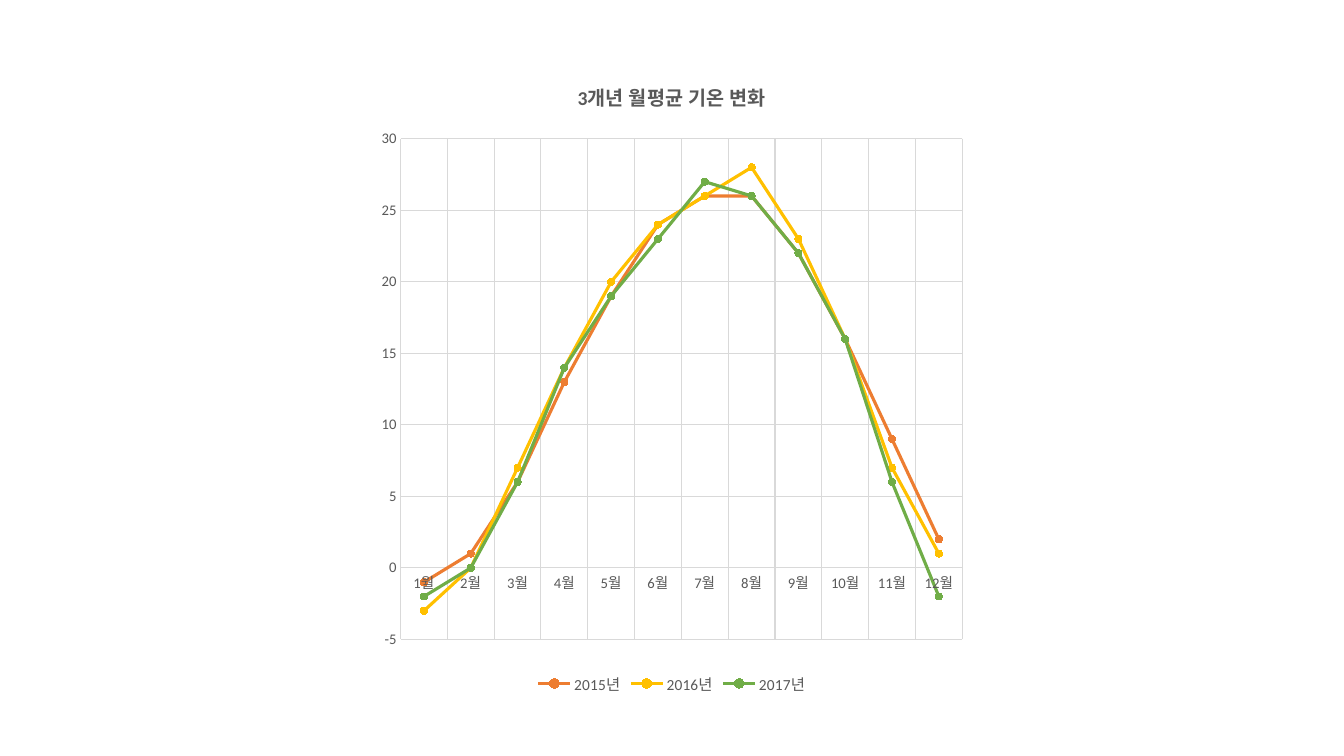
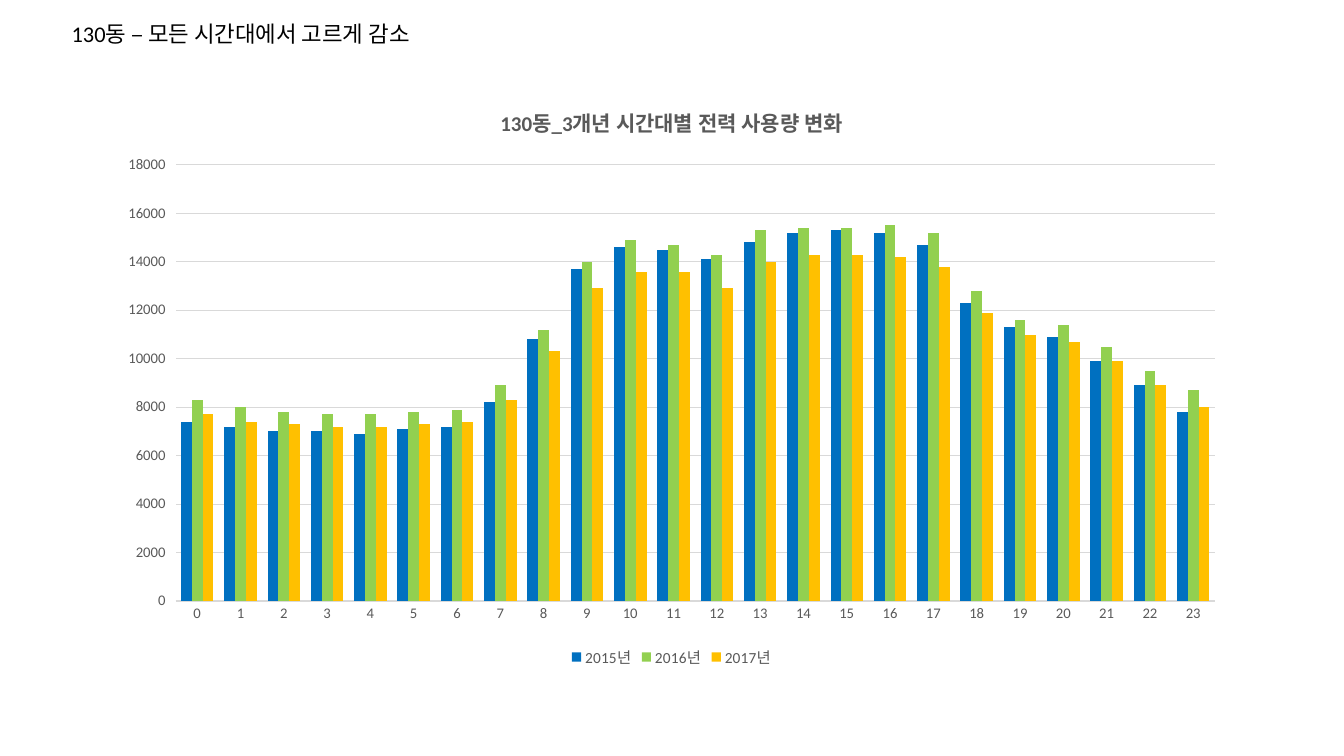
from dataclasses import dataclass
from typing import Optional

from pptx import Presentation
from pptx.chart.data import CategoryChartData
from pptx.dml.color import RGBColor
from pptx.enum.chart import (
    XL_CHART_TYPE as ChartType,
    XL_LEGEND_POSITION as LegendPosition,
    XL_MARKER_STYLE as MarkerStyle,
    XL_TICK_MARK as TickMark,
)
from pptx.enum.text import MSO_ANCHOR as Anchor, PP_ALIGN as Align
from pptx.util import Pt

FONT = "Calibri"
BLACK = "000000"
TEXT_GRAY = "595959"
GRID_GRAY = "D9D9D9"
BLANK_LAYOUT, TITLE_ONLY_LAYOUT = 6, 5


@dataclass
class Series:
    name: str
    color: str
    values: list[float]


@dataclass
class ChartPlan:
    """Box is left, top, width and height in points."""
    title: str
    title_size: float
    kind: ChartType
    box: tuple[float, float, float, float]
    categories: list[str]
    series: list[Series]
    scale: tuple[float, float, float]
    category_grid: bool = False
    value_tick: TickMark = TickMark.NONE
    heading: Optional[str] = None


TEMPERATURE = ChartPlan(
    title="3개년 월평균 기온 변화",
    title_size=14,
    kind=ChartType.LINE_MARKERS,
    box=(264, 42, 432, 457),
    categories=[f"{month}월" for month in range(1, 13)],
    series=[
        Series("2015년", "ED7D31", [-1, 1, 6, 13, 19, 24, 26, 26, 22, 16, 9, 2]),
        Series("2016년", "FFC000", [-3, 0, 7, 14, 20, 24, 26, 28, 23, 16, 7, 1]),
        Series("2017년", "70AD47", [-2, 0, 6, 14, 19, 23, 27, 26, 22, 16, 6, -2]),
    ],
    scale=(-5, 30, 5),
    category_grid=True,
)

POWER_USE = ChartPlan(
    title="130동_3개년 시간대별 전력 사용량 변화",
    title_size=15,
    kind=ChartType.COLUMN_CLUSTERED,
    box=(75.5, 60, 808.5, 420),
    categories=[str(hour) for hour in range(24)],
    series=[
        Series("2015년", "0070C0", [
            7400, 7200, 7000, 7000, 6900, 7100, 7200, 8200,
            10800, 13700, 14600, 14500, 14100, 14800, 15200, 15300,
            15200, 14700, 12300, 11300, 10900, 9900, 8900, 7800]),
        Series("2016년", "92D050", [
            8300, 8000, 7800, 7700, 7700, 7800, 7900, 8900,
            11200, 14000, 14900, 14700, 14300, 15300, 15400, 15400,
            15500, 15200, 12800, 11600, 11400, 10500, 9500, 8700]),
        Series("2017년", "FFC000", [
            7700, 7400, 7300, 7200, 7200, 7300, 7400, 8300,
            10300, 12900, 13600, 13600, 12900, 14000, 14300, 14300,
            14200, 13800, 11900, 11000, 10700, 9900, 8900, 8000]),
    ],
    scale=(0, 18000, 2000),
    value_tick=TickMark.OUTSIDE,
    heading="130동 – 모든 시간대에서 고르게 감소",
)


def rgb(color: str) -> RGBColor:
    return RGBColor.from_string(color)


def format_font(font, *, size: float, color: str = TEXT_GRAY, bold: bool = False) -> None:
    font.name = FONT
    font.size = Pt(size)
    font.bold = bold
    font.color.rgb = rgb(color)


def write_text(text_frame, text: str, **font_format) -> None:
    paragraph = text_frame.paragraphs[0]
    run = paragraph.add_run()
    run.text = text
    format_font(run.font, **font_format)


def format_line(line, color: str, width: float = 0.75) -> None:
    line.color.rgb = rgb(color)
    line.width = Pt(width)


def format_axes(chart, plan: ChartPlan) -> None:
    category_axis, value_axis = chart.category_axis, chart.value_axis
    category_axis.has_major_gridlines = plan.category_grid
    value_axis.has_major_gridlines = True
    for axis in (category_axis, value_axis):
        format_font(axis.tick_labels.font, size=10.5)
        axis.major_tick_mark = axis.minor_tick_mark = TickMark.NONE
        if axis.has_major_gridlines:
            format_line(axis.major_gridlines.format.line, GRID_GRAY)
    format_line(category_axis.format.line, GRID_GRAY)
    value_axis.format.line.fill.background()
    value_axis.major_tick_mark = plan.value_tick
    value_axis.minimum_scale, value_axis.maximum_scale, value_axis.major_unit = plan.scale


def format_series(chart, plan: ChartPlan) -> None:
    plot = chart.plots[0]
    plot.vary_by_categories = False
    if plan.kind == ChartType.COLUMN_CLUSTERED:
        plot.gap_width = 100
        plot.overlap = 0
    for series, item in zip(plot.series, plan.series):
        if plan.kind == ChartType.LINE_MARKERS:
            series.smooth = False
            format_line(series.format.line, item.color, 2.25)
            marker = series.marker
            marker.style = MarkerStyle.CIRCLE
            marker.size = 5
            marker.format.fill.solid()
            marker.format.fill.fore_color.rgb = rgb(item.color)
            format_line(marker.format.line, item.color)
        else:
            series.format.fill.solid()
            series.format.fill.fore_color.rgb = rgb(item.color)


def add_chart(slide, plan: ChartPlan) -> None:
    data = CategoryChartData()
    data.categories = plan.categories
    for item in plan.series:
        data.add_series(item.name, item.values)
    chart = slide.shapes.add_chart(plan.kind, *map(Pt, plan.box), data).chart
    format_font(chart.font, size=10, color=BLACK)
    chart.has_title = True
    write_text(chart.chart_title.text_frame, plan.title, size=plan.title_size, bold=True)
    chart.chart_title.include_in_layout = False
    chart.has_legend = True
    chart.legend.position = LegendPosition.BOTTOM
    chart.legend.include_in_layout = False
    format_font(chart.legend.font, size=11)
    format_axes(chart, plan)
    format_series(chart, plan)


def add_heading(slide, text: str) -> None:
    title = slide.shapes.title
    title.left, title.top, title.width, title.height = map(Pt, (44, 11, 276, 26.5))
    frame = title.text_frame
    frame.word_wrap = False
    frame.vertical_anchor = Anchor.TOP
    write_text(frame, text, size=16, color=BLACK)
    frame.paragraphs[0].alignment = Align.LEFT


def add_chart_slide(presentation, plan: ChartPlan) -> None:
    layout = TITLE_ONLY_LAYOUT if plan.heading else BLANK_LAYOUT
    slide = presentation.slides.add_slide(presentation.slide_layouts[layout])
    add_chart(slide, plan)
    if plan.heading:
        add_heading(slide, plan.heading)


def main() -> None:
    presentation = Presentation()
    presentation.slide_width, presentation.slide_height = Pt(960), Pt(540)
    for plan in (TEMPERATURE, POWER_USE):
        add_chart_slide(presentation, plan)
    presentation.save("out.pptx")


if __name__ == "__main__":
    main()
